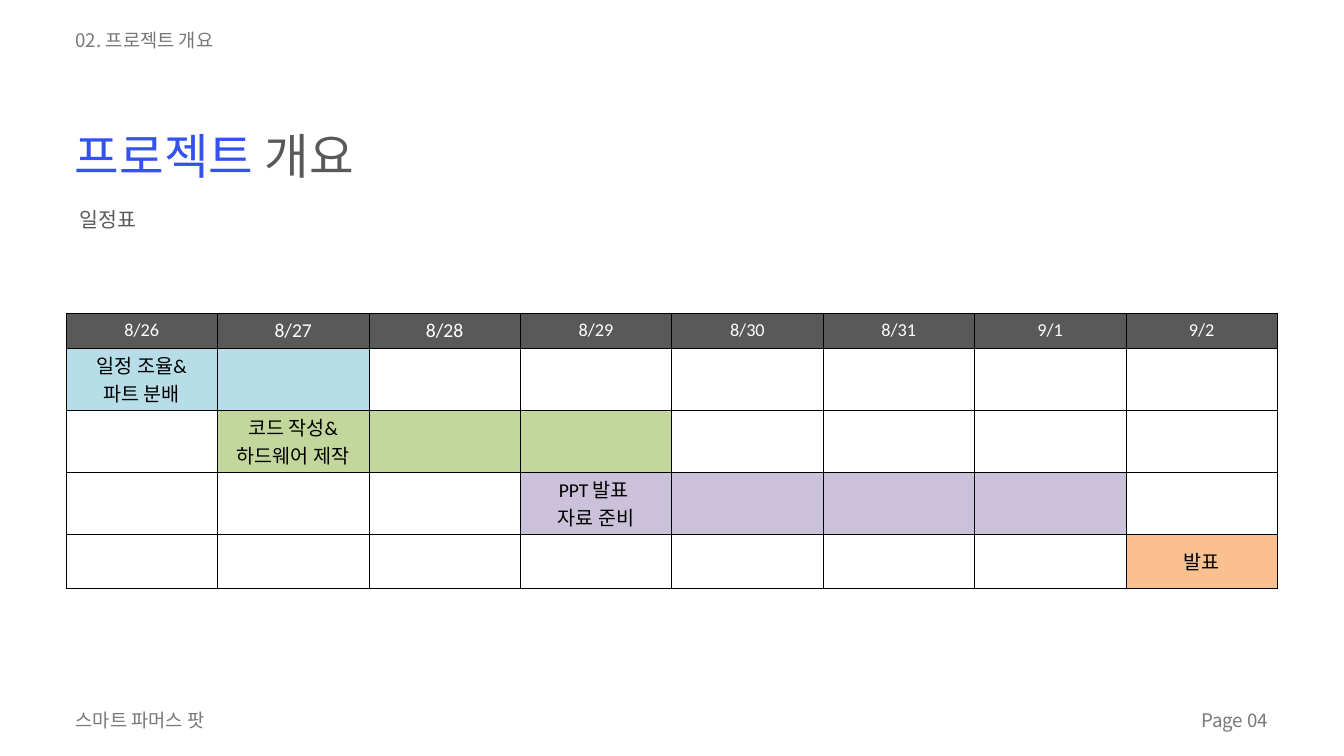
from lxml.etree import SubElement
from pptx import Presentation
from pptx.dml.color import RGBColor
from pptx.enum.text import MSO_ANCHOR, PP_ALIGN
from pptx.oxml.ns import qn
from pptx.util import Cm, Pt

LATIN = "Calibri"
KOREAN = "Noto Sans CJK KR"
COLORS = {
    "accent": "3452F0", "dark": "595959", "muted": "787878",
    "white": "FFFFFF", "black": "000000",
    "planning": "B7DEE8", "building": "C3D69B",
    "preparing": "CCC1DA", "presenting": "FAC090",
}

DATES = ["8/26", "8/27", "8/28", "8/29", "8/30", "8/31", "9/1", "9/2"]
LARGE_DATES = ("8/27", "8/28")
# Each task: label lines, first day column, number of days, colour
TASKS = [
    (["일정 조율&", "파트 분배"], 0, 2, "planning"),
    (["코드 작성&", "하드웨어 제작"], 1, 3, "building"),
    (["PPT 발표 ", "자료 준비"], 3, 4, "preparing"),
    (["발표"], 7, 1, "presenting"),
]
# Header, three rows tall enough for two-line labels, one single-line row
ROW_HEIGHTS = [1.78] + [3.12] * 3 + [2.72]
COLUMN_WIDTH = 7.63


def rgb(name):
    return RGBColor.from_string(COLORS[name])


def set_font(font, size, name, color):
    font.size = Pt(size)
    font.name = name
    font.color.rgb = rgb(color)


def add_text(slide, left, top, width, height, runs, size, spacing=1.0,
             inset_x=0, inset_top=0.03, inset_bottom=0, align=PP_ALIGN.LEFT):
    """Add a one-line text box; runs are (text, font name, colour)."""
    shape = slide.shapes.add_textbox(Cm(left), Cm(top), Cm(width), Cm(height))
    frame = shape.text_frame
    frame.word_wrap = True
    frame.margin_left = frame.margin_right = Cm(inset_x)
    frame.margin_top, frame.margin_bottom = Cm(inset_top), Cm(inset_bottom)
    paragraph = frame.paragraphs[0]
    paragraph.alignment = align
    paragraph.line_spacing = spacing
    for text, name, color in runs:
        run = paragraph.add_run()
        run.text = text
        set_font(run.font, size, name, color)


def set_borders(cell):
    properties = cell._tc.get_or_add_tcPr()
    for position, side in enumerate(("a:lnL", "a:lnR", "a:lnT", "a:lnB")):
        line = properties.makeelement(qn(side), {"w": str(Pt(1))})
        fill = SubElement(line, qn("a:solidFill"))
        SubElement(fill, qn("a:srgbClr"), val=COLORS["black"])
        properties.insert(position, line)


def fill_cell(cell, color):
    cell.fill.solid()
    cell.fill.fore_color.rgb = rgb(color)


def write_cell(cell, lines, size, color):
    cell.vertical_anchor = MSO_ANCHOR.MIDDLE
    cell.text_frame.text = "\n".join(lines)
    for paragraph in cell.text_frame.paragraphs:
        paragraph.alignment = PP_ALIGN.CENTER
        set_font(paragraph.font, size, LATIN, color)


def add_schedule(slide, left, top):
    table = slide.shapes.add_table(
        len(ROW_HEIGHTS), len(DATES), Cm(left), Cm(top),
        Cm(COLUMN_WIDTH * len(DATES)), Cm(sum(ROW_HEIGHTS))).table
    table.first_row = table.horz_banding = False
    for row, height in zip(table.rows, ROW_HEIGHTS):
        row.height = Cm(height)
    for column in table.columns:
        column.width = Cm(COLUMN_WIDTH)
    for cell in table.iter_cells():
        fill_cell(cell, "white")
        set_borders(cell)

    # Date header
    for column, date in enumerate(DATES):
        cell = table.cell(0, column)
        fill_cell(cell, "dark")
        write_cell(cell, [date], 28 if date in LARGE_DATES else 26, "white")

    # Task bars
    for row, (lines, start, days, color) in enumerate(TASKS, start=1):
        for column in range(start, start + days):
            fill_cell(table.cell(row, column), color)
        write_cell(table.cell(row, start), lines, 28, "black")


def main():
    presentation = Presentation()
    presentation.slide_width, presentation.slide_height = Cm(67.73), Cm(38.1)
    slide = presentation.slides.add_slide(presentation.slide_layouts[6])

    # Title and subtitle
    add_text(slide, 3.78, 6.1, 42.16, 3.43,
             [("프로젝트 ", LATIN, "accent"), ("개요", LATIN, "dark")],
             69.3, spacing=1.02, inset_top=0.2)
    add_text(slide, 3.78, 9.98, 23.7, 1.45, [("일정표", LATIN, "dark")], 29.3,
             spacing=1.25, inset_x=0.25, inset_top=0.13, inset_bottom=0.13)

    # Footer and section header
    add_text(slide, 3.81, 35.71, 8.28, 1.3,
             [("스마트 파머스 팟", LATIN, "muted")], 26.7)
    add_text(slide, 55.63, 35.71, 8.28, 1.3,
             [("Page 04", KOREAN, "muted")], 26.7, align=PP_ALIGN.RIGHT)
    add_text(slide, 3.81, 1.42, 23.67, 1.3,
             [("02. ", KOREAN, "muted"), ("프로젝트 개요", LATIN, "muted")], 26.7)

    add_schedule(slide, 3.33, 15.77)
    presentation.save("out.pptx")


if __name__ == "__main__":
    main()
